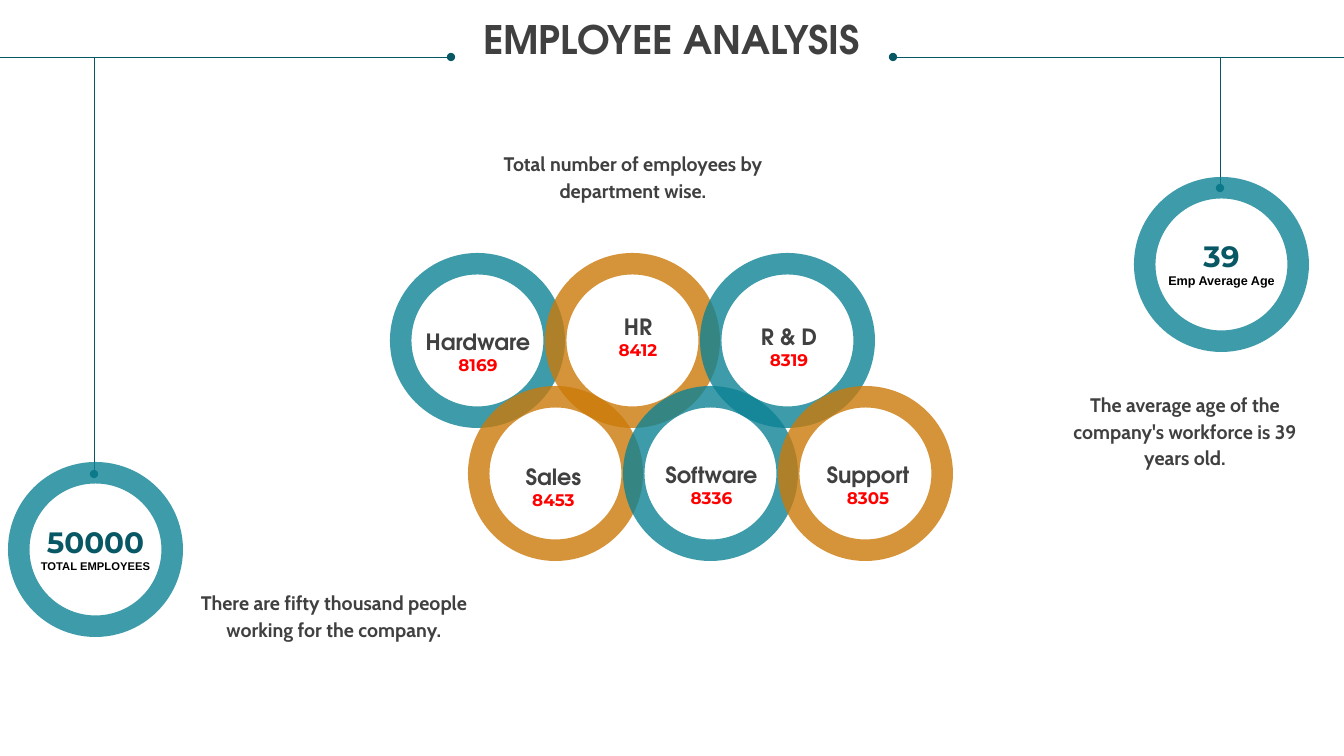
from lxml.etree import SubElement
from pptx import Presentation
from pptx.dml.color import RGBColor
from pptx.enum.shapes import MSO_CONNECTOR, MSO_SHAPE
from pptx.enum.text import PP_ALIGN
from pptx.oxml.ns import qn
from pptx.util import Pt

PX = 9071.43  # EMU per px, 100.8 px to the inch
TEAL, ORANGE, DEEP_TEAL = "0D8295", "CB7A09", "085764"
GREY, RED, BLACK = "404040", "FF0000", "000000"
HEADING, BODY, FIGURE = "TeX Gyre Adventor", "Cabin", "Montserrat"
RING = 175


def emu(*lengths):
    return [round(length * PX) for length in lengths]


def add_text(frame_px, lines, spacing=None, inset=None, wrap=True):
    """Add centred bold text; each line is (text, size, font, colour)."""
    box = page.shapes.add_textbox(*emu(*frame_px))
    frame = box.text_frame
    frame.word_wrap = wrap
    if inset is not None:
        frame.margin_left = frame.margin_right = inset
        frame.margin_top = frame.margin_bottom = inset
    for index, (text, size, font, colour) in enumerate(lines):
        para = frame.paragraphs[0] if index == 0 else frame.add_paragraph()
        para.alignment = PP_ALIGN.CENTER
        para.line_spacing = spacing
        span = para.add_run()
        span.text = text
        span.font.name = font
        span.font.size = Pt(size)
        span.font.bold = True
        span.font.color.rgb = RGBColor.from_string(colour)


deck = Presentation()
deck.slide_width, deck.slide_height = emu(1344, 756)
page = deck.slides.add_slide(deck.slide_layouts[6])

# Thin lines, each ending in a dot
for ends in [
    (0, 57, 451, 57),
    (1344, 57, 893, 57),
    (94, 57, 94, 474),
    (1220, 57, 1220, 188),
]:
    line = page.shapes.add_connector(MSO_CONNECTOR.STRAIGHT, *emu(*ends))
    line.line.color.rgb = RGBColor.from_string(DEEP_TEAL)
    line.line.width = Pt(0.5)
    SubElement(line.line._get_or_add_ln(), qn("a:tailEnd"), type="oval")
    SubElement(line._element.spPr, qn("a:effectLst"))

# Title
add_text((25, 21, 1293, 86), [("EMPLOYEE ANALYSIS", 28, HEADING, GREY)],
         spacing=0.9, inset=0)

# Rings: two staggered rows of departments, then the two key figures
rings = [
    (390 + 155 * column + 78 * row, 253 + 133 * row,
     TEAL if (row + column) % 2 == 0 else ORANGE)
    for row in range(2) for column in range(3)
]
rings += [(8, 462, TEAL), (1134, 177, TEAL)]
for left, top, colour in rings:
    ring = page.shapes.add_shape(MSO_SHAPE.DONUT, *emu(left, top, RING, RING))
    ring.adjustments[0] = 0.123
    ring.shadow.inherit = False
    ring.line.fill.background()
    ring.fill.solid()
    ring.fill.fore_color.rgb = RGBColor.from_string(colour)
    tint = ring._element.spPr.find(qn("a:solidFill"))[0]
    SubElement(tint, qn("a:alpha"), val="80000")

# Captions
for left, top, height, text in [
    (499, 149, 51, "Total number of employees by department wise."),
    (1051, 390, 79, "The average age of the company's workforce is 39 years old."),
    (200, 588, 51, "There are fifty thousand people working for the company."),
]:
    add_text((left, top, 268, height), [(text, 14, BODY, GREY)],
             spacing=Pt(19), inset=0)

# Department names and head counts
for name, count, left, top, width in [
    ("Hardware", "8169", 414, 323, 128),
    ("HR", "8412", 605, 308, 66),
    ("R & D", "8319", 750, 318, 78),
    ("Sales", "8453", 515, 458, 77),
    ("Software", "8336", 654, 456, 115),
    ("Support", "8305", 816, 456, 104),
]:
    add_text((left, top, width, 57),
             [(name, 16, HEADING, GREY), (count, 12, FIGURE, RED)], wrap=False)

# Key figures
for value, label, size, left, top in [
    ("50000", "TOTAL EMPLOYEES", 8, 29, 519),
    ("39", "Emp Average Age", 9, 1155, 233),
]:
    add_text((left, top, 133, 60),
             [(value, 21, FIGURE, DEEP_TEAL), (label, size, "Arial", BLACK)],
             wrap=False)

deck.save("out.pptx")
